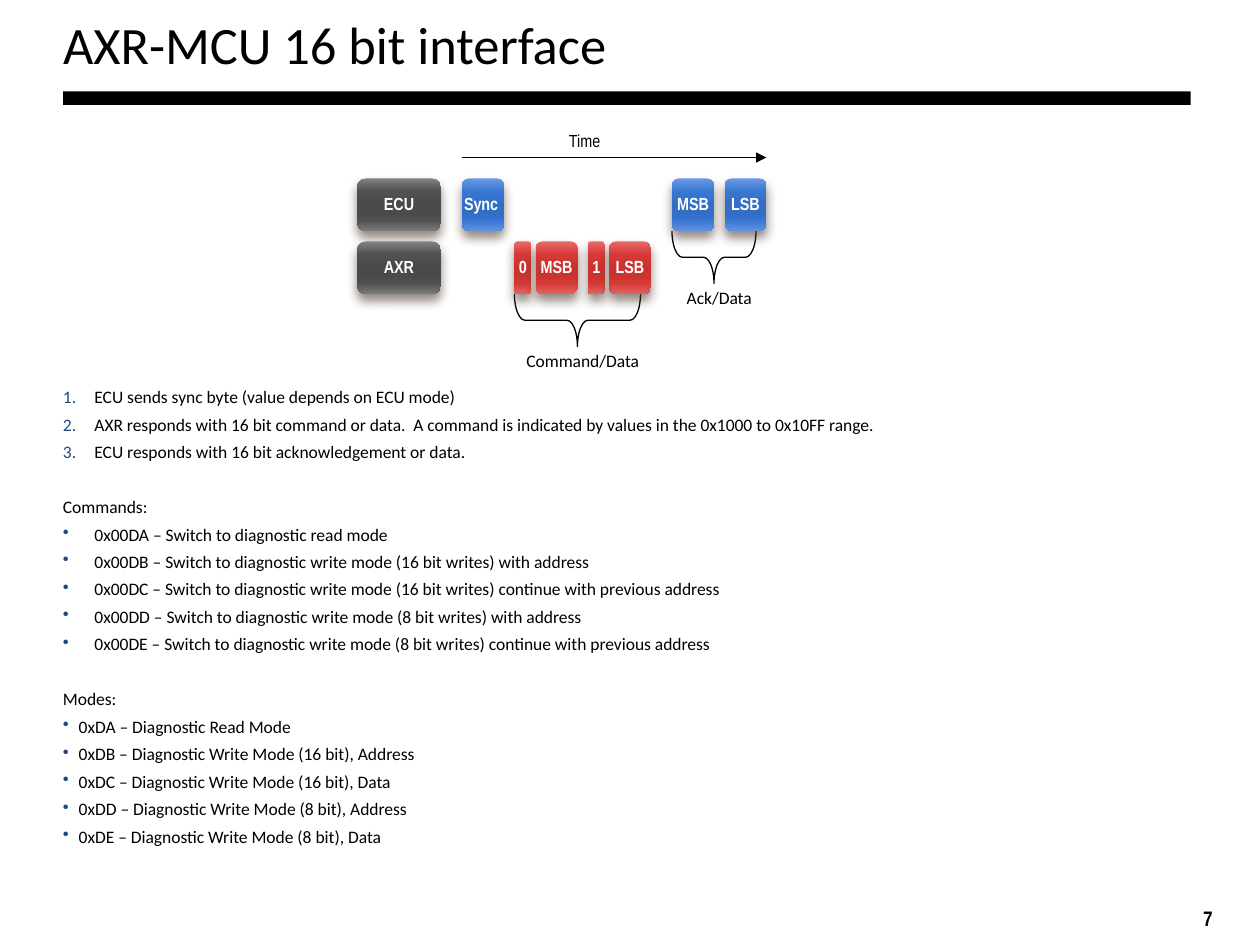
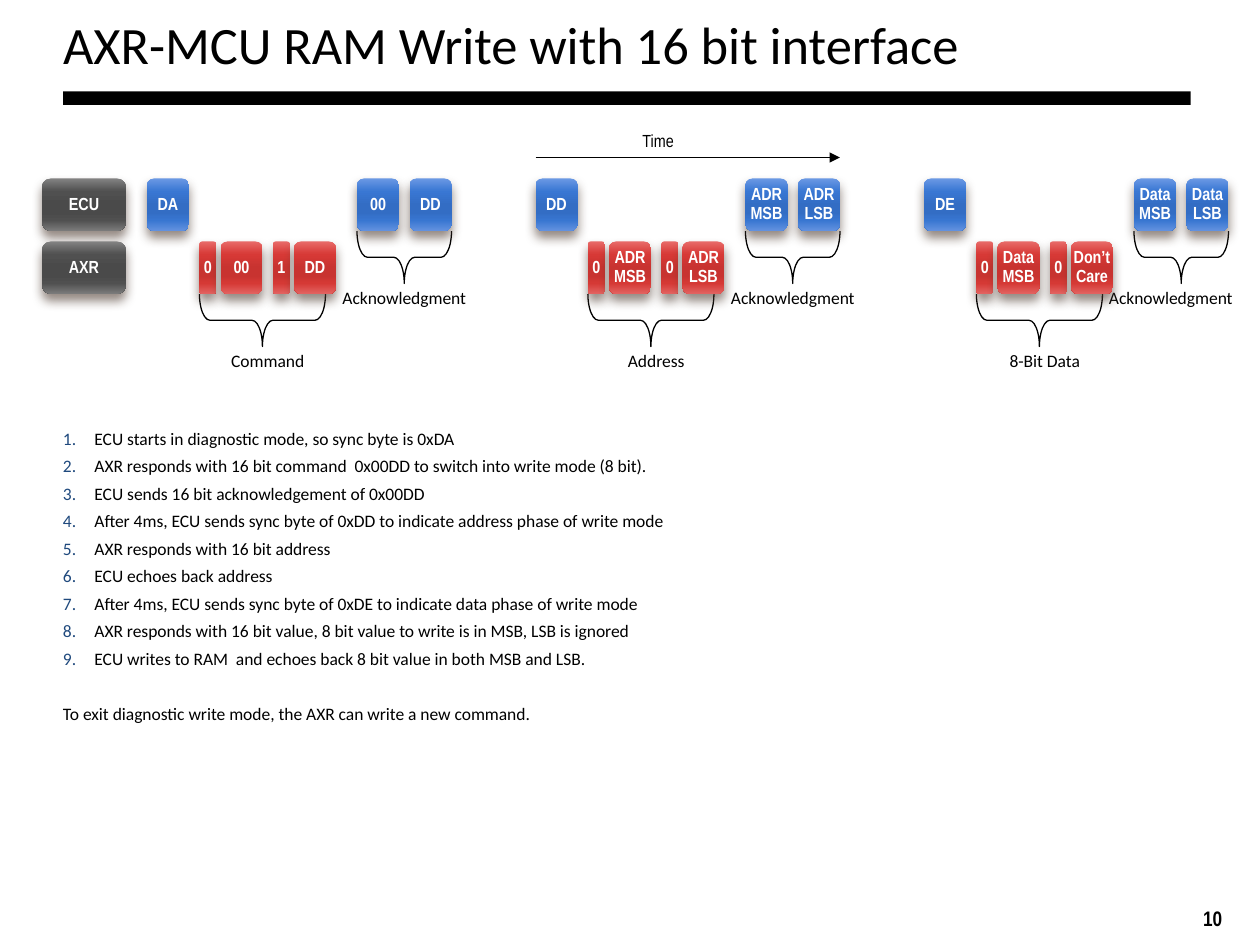
"""Build two slides on the 16 bit serial exchange between the ECU and the AXR."""
from dataclasses import dataclass
from typing import Any, NamedTuple

from pptx import Presentation
from pptx.dml.color import RGBColor
from pptx.enum.shapes import MSO_CONNECTOR, MSO_SHAPE
from pptx.enum.text import MSO_ANCHOR as Anchor, PP_ALIGN as Align
from pptx.oxml import parse_xml
from pptx.oxml.ns import nsdecls, qn
from pptx.oxml.xmlchemy import OxmlElement as make_element
from pptx.util import Emu, Pt

PX = 7620
SLIDE_WIDTH, SLIDE_HEIGHT = 1200, 900
BLACK, WHITE, BULLET_BLUE, SHADOW_BROWN = "000000", "FFFFFF", "1F497D", "4E3B30"
STOPS = (0, 25, 50, 65, 80, 100)
GREY = ("828282", "505050", "4A4A4A", "4A4A4A", "505050", "7A7A7A")
BLUE = ("6A98E4", "3977D3", "336DC4", "336DC4", "3876D1", "6291DF")
RED = ("E86A68", "D73936", "C83330", "C83330", "D53935", "E26260")

TITLE_FONT = {"name": "Calibri", "size": Pt(30)}
BODY_FONT = {"name": "Calibri", "size": Pt(10)}
TIME_FONT = {"name": "Arial Narrow", "size": Pt(10)}
BYTE_FONT = TIME_FONT | {"bold": True}
PAGE_FONT = BYTE_FONT | {"size": Pt(12)}
NO_INSETS = dict.fromkeys(("margin_left", "margin_top", "margin_right", "margin_bottom"), 0)

ECU_LANE, AXR_LANE, LANE_HEIGHT = 170, 230, 50
DEVICE_WIDTH, BYTE_WIDTH, FLAG_WIDTH = 80, 40, 16
LABEL_WIDTH, LABEL_HEIGHT = 170, 30
BRACE_DEPTH = 50
PARAGRAPH_GAP, SECTION_GAP = 4.85, 20.7


class Box(NamedTuple):
    """A place on the slide in px."""

    left: int
    top: int
    width: int
    height: int

    def emu(self) -> list[Emu]:
        """Return the four lengths in EMU."""
        return [Emu(length * PX) for length in self]


class Line(NamedTuple):
    """One body paragraph."""

    text: str
    marker: str = ""
    indent: int = 0
    opens_section: bool = False


@dataclass
class Exchange:
    """One sync byte, the AXR word that follows and the ECU reply."""

    left: int
    sync: str
    flags: tuple[str, str]
    word: tuple[str, str]
    reply: tuple[str, str]
    word_label: str
    reply_label: str
    reply_span: int = 90
    sync_align: Align = Align.CENTER


@dataclass
class Page:
    """The content of one slide."""

    number: str
    title: str
    exchanges: list[Exchange]
    timed: int
    body_box: Box
    body: list[Line]


def steps(*texts: str) -> list[Line]:
    """Return numbered lines."""
    return [Line(text, "number", 30) for text in texts]


def bullets(indent: int, *texts: str) -> list[Line]:
    """Return bulleted lines."""
    return [Line(text, "bullet", indent) for text in texts]


def rgb(color: str) -> RGBColor:
    """Turn a hex string into a colour."""
    return RGBColor.from_string(color)


def assign(target: Any, values: dict[str, Any]) -> None:
    """Set every named attribute of the target."""
    for name, value in values.items():
        setattr(target, name, value)


def write(paragraph: Any, text: str, font: dict[str, Any], color: str = BLACK,
          align: Align = Align.LEFT, spacing: float = 0.9) -> None:
    """Put one formatted run in a paragraph."""
    assign(paragraph, {"alignment": align, "line_spacing": spacing})
    run = paragraph.add_run()
    run.text = text
    assign(run.font, font)
    run.font.color.rgb = rgb(color)


def add_text(slide: Any, box: Box, text: str, font: dict[str, Any],
             frame: dict[str, Any] | None = None, **style: Any) -> None:
    """Add a text box with a single paragraph."""
    text_frame = slide.shapes.add_textbox(*box.emu()).text_frame
    assign(text_frame, {"word_wrap": True} | (frame or {}))
    write(text_frame.paragraphs[0], text, font, **style)


def add_block(slide: Any, box: Box, text: str, colors: tuple[str, ...],
              align: Align = Align.CENTER) -> None:
    """Add a glossy rounded block with a soft shadow."""
    block = slide.shapes.add_shape(MSO_SHAPE.ROUNDED_RECTANGLE, *box.emu())
    stops = "".join(f'<a:gs pos="{stop * 1000}"><a:srgbClr val="{color}"/></a:gs>'
                    for stop, color in zip(STOPS, colors))
    properties = block.element.spPr
    properties.append(parse_xml(
        f'<a:gradFill {nsdecls("a")} rotWithShape="1"><a:gsLst>{stops}</a:gsLst>'
        '<a:lin ang="5400000" scaled="0"/></a:gradFill>'))
    block.line.fill.background()
    block.shadow.inherit = False
    properties.find(qn("a:effectLst")).append(parse_xml(
        f'<a:outerShdw {nsdecls("a")} blurRad="{Pt(6)}" dist="{Pt(4)}" dir="5400000" '
        f'rotWithShape="0"><a:srgbClr val="{SHADOW_BROWN}"><a:alpha val="60000"/>'
        '</a:srgbClr></a:outerShdw>'))
    assign(block.text_frame,
           NO_INSETS | {"word_wrap": True, "vertical_anchor": Anchor.MIDDLE})
    write(block.text_frame.paragraphs[0], text, BYTE_FONT, WHITE, align)


def add_brace(slide: Any, left: int, top: int, span: int) -> None:
    """Add a brace that opens upwards and points down."""
    turned = Box(left + (span - BRACE_DEPTH) // 2, top + (BRACE_DEPTH - span) // 2,
                 BRACE_DEPTH, span)
    brace = slide.shapes.add_shape(MSO_SHAPE.LEFT_BRACE, *turned.emu())
    brace.rotation = 270
    brace.adjustments[0] = 0.2
    brace.fill.background()
    brace.line.color.rgb = rgb(BLACK)
    brace.line.width = Pt(0.75)
    brace.shadow.inherit = False


def add_label(slide: Any, center: int, top: int, text: str) -> None:
    """Add a centred caption that stays on the slide."""
    left = min(center - LABEL_WIDTH // 2, SLIDE_WIDTH - LABEL_WIDTH)
    add_text(slide, Box(left, top, LABEL_WIDTH, LABEL_HEIGHT), text, BODY_FONT,
             align=Align.CENTER)


def add_exchange(slide: Any, exchange: Exchange) -> None:
    """Draw the bytes, braces and captions of one exchange."""
    left = exchange.left
    add_brace(slide, left + 50, AXR_LANE + LANE_HEIGHT, 120)
    add_brace(slide, left + 200, ECU_LANE + LANE_HEIGHT, exchange.reply_span)
    add_label(slide, left + 115, 330, exchange.word_label)
    add_label(slide, left + 245, 270, exchange.reply_label)
    add_block(slide, Box(left, ECU_LANE, BYTE_WIDTH, LANE_HEIGHT), exchange.sync, BLUE,
              exchange.sync_align)
    for index, (flag, word, reply) in enumerate(
            zip(exchange.flags, exchange.word, exchange.reply)):
        flag_left = left + 50 + 70 * index
        reply_left = left + 200 + 50 * index
        add_block(slide, Box(flag_left, AXR_LANE, FLAG_WIDTH, LANE_HEIGHT), flag, RED)
        add_block(slide, Box(flag_left + 20, AXR_LANE, BYTE_WIDTH, LANE_HEIGHT), word, RED)
        add_block(slide, Box(reply_left, ECU_LANE, BYTE_WIDTH, LANE_HEIGHT), reply, BLUE)


def add_time_axis(slide: Any, left: int) -> None:
    """Draw the time arrow above an exchange."""
    start_x, y, end_x = (Emu(length * PX) for length in (left, 150, left + 290))
    arrow = slide.shapes.add_connector(MSO_CONNECTOR.STRAIGHT, start_x, y, end_x, y)
    arrow.line.color.rgb = rgb(BLACK)
    arrow.line.width = Pt(0.75)
    head = make_element("a:tailEnd")
    head.set("type", "triangle")
    arrow.line._get_or_add_ln().append(head)
    arrow._element.spPr.append(make_element("a:effectLst"))
    add_text(slide, Box(left + 90, 120, 60, 30), "Time", TIME_FONT)


def add_marker(paragraph: Any, line: Line) -> None:
    """Give a paragraph its hanging number or bullet."""
    properties = paragraph._p.get_or_add_pPr()
    properties.set("marL", str(line.indent * PX))
    properties.set("indent", str(-line.indent * PX))
    color = make_element("a:buClr")
    shade = make_element("a:srgbClr")
    shade.set("val", BULLET_BLUE)
    color.append(shade)
    tag, name, value = {"number": ("a:buAutoNum", "type", "arabicPeriod"),
                        "bullet": ("a:buChar", "char", "•")}[line.marker]
    sign = make_element(tag)
    sign.set(name, value)
    properties.extend((color, sign))


def add_body(slide: Any, box: Box, lines: list[Line]) -> None:
    """Add the explanatory list below the diagram."""
    frame = slide.shapes.add_textbox(*box.emu()).text_frame
    assign(frame, NO_INSETS | {"word_wrap": True})
    for index, line in enumerate(lines):
        paragraph = frame.add_paragraph() if index else frame.paragraphs[0]
        write(paragraph, line.text, BODY_FONT)
        if index:
            paragraph.space_before = Pt(SECTION_GAP if line.opens_section else PARAGRAPH_GAP)
        if line.marker:
            add_marker(paragraph, line)


def add_page(deck: Any, page: Page) -> None:
    """Add one slide with its band, title, number, diagram and list."""
    slide = deck.slides.add_slide(deck.slide_layouts[6])
    band = slide.shapes.add_shape(MSO_SHAPE.RECTANGLE, *Box(60, 87, 1074, 13).emu())
    band.fill.solid()
    band.fill.fore_color.rgb = rgb(BLACK)
    band.line.fill.background()
    band.shadow.inherit = False
    add_text(slide, Box(1134, 859, 44, 34), page.number, PAGE_FONT, {"word_wrap": False})
    add_text(slide, Box(60, 19, 1074, 53), page.title, TITLE_FONT,
             NO_INSETS | {"vertical_anchor": Anchor.MIDDLE}, spacing=0.87)
    add_body(slide, page.body_box, page.body)
    for device, lane in (("ECU", ECU_LANE), ("AXR", AXR_LANE)):
        device_box = Box(page.exchanges[0].left - 100, lane, DEVICE_WIDTH, LANE_HEIGHT)
        add_block(slide, device_box, device, GREY)
    for exchange in page.exchanges:
        add_exchange(slide, exchange)
    add_time_axis(slide, page.exchanges[page.timed].left)


INTERFACE = Page(
    "7", "AXR-MCU 16 bit interface",
    [Exchange(440, "Sync", ("0", "1"), ("MSB", "LSB"), ("MSB", "LSB"),
              "Command/Data", "Ack/Data", 80, Align.LEFT)],
    0, Box(60, 370, 1070, 470),
    steps("ECU sends sync byte (value depends on ECU mode)",
          "AXR responds with 16 bit command or data.  A command is indicated by values "
          "in the 0x1000 to 0x10FF range.",
          "ECU responds with 16 bit acknowledgement or data.")
    + [Line("Commands:", opens_section=True)]
    + bullets(30, "0x00DA – Switch to diagnostic read mode",
              "0x00DB – Switch to diagnostic write mode (16 bit writes) with address",
              "0x00DC – Switch to diagnostic write mode (16 bit writes) continue with previous address",
              "0x00DD – Switch to diagnostic write mode (8 bit writes) with address",
              "0x00DE – Switch to diagnostic write mode (8 bit writes) continue with previous address")
    + [Line("Modes:", opens_section=True)]
    + bullets(15, "0xDA – Diagnostic Read Mode",
              "0xDB – Diagnostic Write Mode (16 bit), Address",
              "0xDC – Diagnostic Write Mode (16 bit), Data",
              "0xDD – Diagnostic Write Mode (8 bit), Address",
              "0xDE – Diagnostic Write Mode (8 bit), Data"))

RAM_WRITE = Page(
    "10", "AXR-MCU RAM Write with 16 bit interface",
    [Exchange(140 + 370 * index, *parts, "Acknowledgment") for index, parts in enumerate((
        ("DA", ("0", "1"), ("00", "DD"), ("00", "DD"), "Command"),
        ("DD", ("0", "0"), ("ADR MSB", "ADR LSB"), ("ADR MSB", "ADR LSB"), "Address"),
        ("DE", ("0", "0"), ("Data MSB", "Don’t Care"), ("Data MSB", "Data LSB"), "8-Bit Data")))],
    1, Box(60, 410, 1030, 329),
    steps("ECU starts in diagnostic mode, so sync byte is 0xDA",
          "AXR responds with 16 bit command  0x00DD to switch into write mode (8 bit).",
          "ECU sends 16 bit acknowledgement of 0x00DD",
          "After 4ms, ECU sends sync byte of 0xDD to indicate address phase of write mode",
          "AXR responds with 16 bit address",
          "ECU echoes back address",
          "After 4ms, ECU sends sync byte of 0xDE to indicate data phase of write mode",
          "AXR responds with 16 bit value, 8 bit value to write is in MSB, LSB is ignored",
          "ECU writes to RAM  and echoes back 8 bit value in both MSB and LSB.")
    + [Line("To exit diagnostic write mode, the AXR can write a new command.", opens_section=True)])


def main() -> None:
    """Build and save the deck."""
    deck = Presentation()
    deck.slide_width, deck.slide_height = Emu(SLIDE_WIDTH * PX), Emu(SLIDE_HEIGHT * PX)
    for page in (INTERFACE, RAM_WRITE):
        add_page(deck, page)
    deck.save("out.pptx")


if __name__ == "__main__":
    main()
